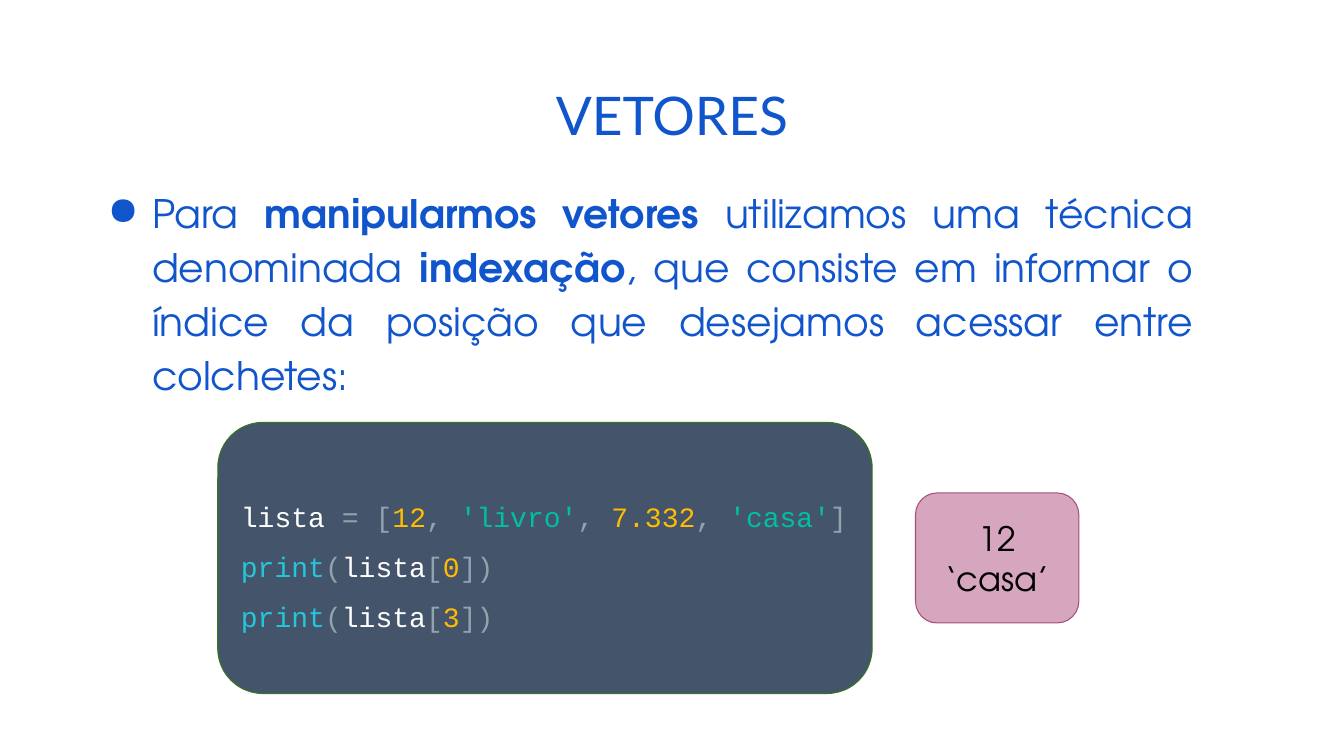
from lxml import etree
from pptx import Presentation
from pptx import util as u
from pptx.dml.color import RGBColor
from pptx.enum import shapes, text
from pptx.oxml.ns import qn

PX = 9144
COLORS = {
    "blue": "1155CC", "panel": "44546A", "panel_line": "38761D",
    "pink": "D5A6BD", "pink_line": "A64D79", "black": "000000",
    "name": "FFFFFF", "mark": "90A4AE", "number": "FFBC00",
    "string": "00BFA4", "call": "26C6DA",
}
BODY_FONT = "TeX Gyre Adventor"


def px(length):
    """Turn a length in px into EMU."""
    return u.Emu(length * PX)


def rgb(name):
    """Look up a named colour."""
    return RGBColor.from_string(COLORS[name])


def write(paragraph, content, *, font, size, color, bold=False):
    """Add a formatted run to a paragraph."""
    run = paragraph.add_run()
    run.text = content
    run.font.name = font
    run.font.size = u.Pt(size)
    run.font.bold = bold
    run.font.color.rgb = rgb(color)


def set_frame(shape, anchor, inset):
    """Wrap the text of a shape, anchor it and set its insets."""
    frame = shape.text_frame
    frame.word_wrap = True
    frame.vertical_anchor = anchor
    frame.margin_left = frame.margin_right = px(10)
    frame.margin_top = frame.margin_bottom = px(inset)
    return frame


def add_paragraphs(frame, count, align, spacing):
    """Return the given number of aligned paragraphs."""
    paragraphs = [frame.paragraphs[0]]
    paragraphs += [frame.add_paragraph() for _ in range(count - 1)]
    for paragraph in paragraphs:
        paragraph.alignment = align
        paragraph.line_spacing = spacing
    return paragraphs


def add_text_box(slide, box, anchor, align, spacing):
    """Add a text box and return its only paragraph."""
    shape = slide.shapes.add_textbox(*map(px, box))
    return add_paragraphs(set_frame(shape, anchor, 5), 1, align, spacing)[0]


def add_panel(slide, box, fill, line):
    """Add a rounded panel and return its text frame."""
    shape = slide.shapes.add_shape(shapes.MSO_SHAPE.ROUNDED_RECTANGLE, *map(px, box))
    shape.shadow.inherit = False
    shape.fill.solid()
    shape.fill.fore_color.rgb = rgb(fill)
    shape.line.color.rgb = rgb(line)
    shape.line.width = u.Pt(0.75)
    return set_frame(shape, text.MSO_ANCHOR.MIDDLE, 10)


def set_bullet(paragraph, character, color, margin, indent):
    """Give a paragraph a coloured hanging bullet."""
    properties = paragraph._p.get_or_add_pPr()
    properties.set("marL", str(px(margin)))
    properties.set("indent", str(px(indent)))
    bullet_color = etree.SubElement(properties, qn("a:buClr"))
    etree.SubElement(bullet_color, qn("a:srgbClr"), val=COLORS[color])
    etree.SubElement(properties, qn("a:buChar"), char=character)


def add_title(slide, box):
    """Place the slide title."""
    paragraph = add_text_box(slide, box, text.MSO_ANCHOR.BOTTOM, text.PP_ALIGN.CENTER, 0.9)
    write(paragraph, "VETORES", font="Lato", size=38, color="blue")


def add_explanation(slide, box):
    """Place the bulleted explanation of indexing."""
    paragraph = add_text_box(slide, box, text.MSO_ANCHOR.TOP, text.PP_ALIGN.JUSTIFY, 1.15)
    set_bullet(paragraph, "●", "blue", 50, -44)
    pieces = [
        ("Para", False),
        (" manipularmos vetores", True),
        (" utilizamos uma técnica denominada ", False),
        ("indexação", True),
        (", que consiste em informar o índice da posição que desejamos "
         "acessar entre colchetes:", False),
    ]
    for content, bold in pieces:
        write(paragraph, content, font=BODY_FONT, size=28, color="blue", bold=bold)


def print_line(index):
    """Return the coloured tokens of a call that prints one item."""
    return [("print", "call"), ("(", "mark"), ("lista", "name"),
            ("[", "mark"), (index, "number"), ("])", "mark")]


def add_code(slide, box):
    """Place the code panel."""
    lines = [
        [("lista ", "name"), ("= [", "mark"), ("12", "number"), (", ", "mark"),
         ("'livro'", "string"), (", ", "mark"), ("7.332", "number"), (", ", "mark"),
         ("'casa'", "string"), ("]", "mark")],
        print_line("0"),
        print_line("3"),
    ]
    frame = add_panel(slide, box, "panel", "panel_line")
    paragraphs = add_paragraphs(frame, len(lines), text.PP_ALIGN.LEFT, 1.5)
    for paragraph, tokens in zip(paragraphs, lines):
        for content, color in tokens:
            write(paragraph, content, font="Courier New", size=20, color=color)


def add_output(slide, box):
    """Place the panel with the printed values."""
    values = ["12", "‘casa’"]
    frame = add_panel(slide, box, "pink", "pink_line")
    paragraphs = add_paragraphs(frame, len(values), text.PP_ALIGN.CENTER, 1.0)
    for paragraph, value in zip(paragraphs, values):
        write(paragraph, value, font=BODY_FONT, size=24, color="black")


def main():
    """Build and save the slide."""
    presentation = Presentation()
    presentation.slide_width = px(1333)
    presentation.slide_height = px(750)
    slide = presentation.slides.add_slide(presentation.slide_layouts[6])
    add_title(slide, (0, 71, 1333, 80))
    add_explanation(slide, (91, 176, 1102, 426))
    add_code(slide, (216, 419, 649, 269))
    add_output(slide, (908, 489, 162, 129))
    presentation.save("out.pptx")


if __name__ == "__main__":
    main()
